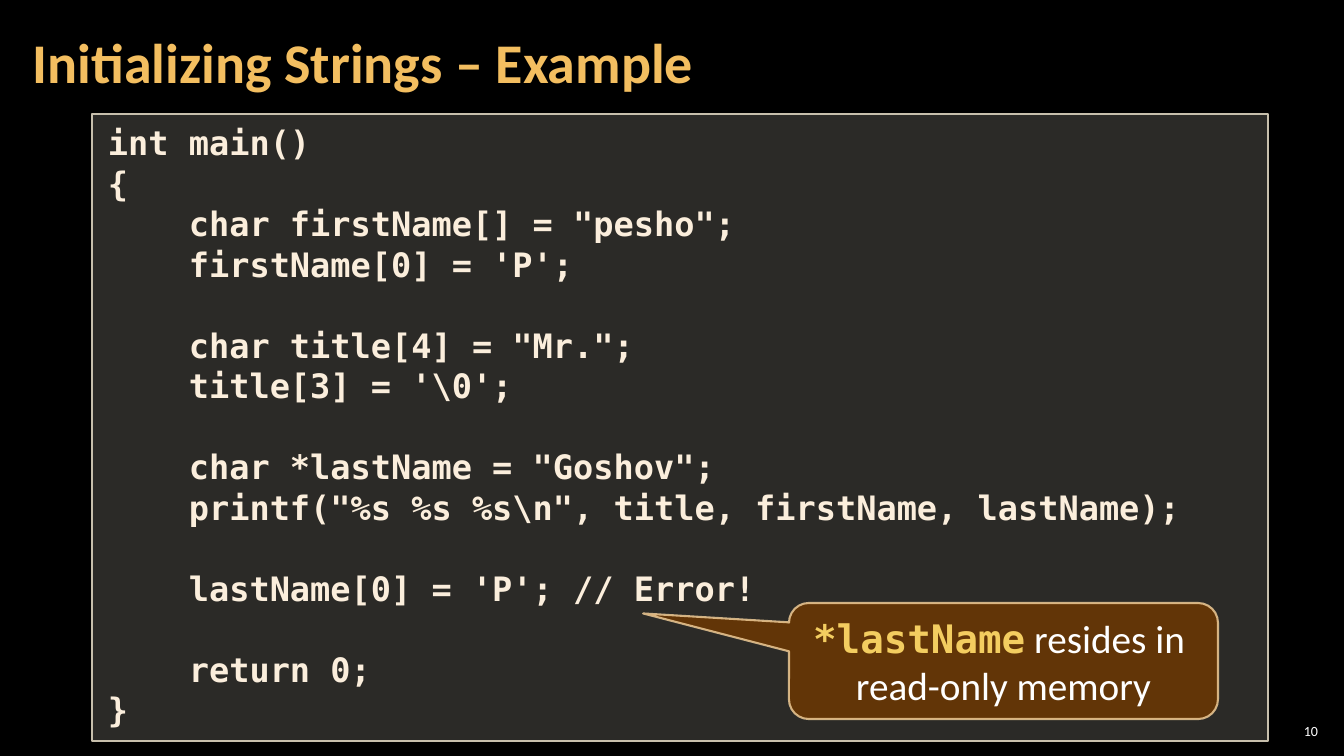
from dataclasses import dataclass

from lxml.etree import SubElement
from pptx import Presentation
from pptx.dml.color import RGBColor
from pptx.enum.shapes import MSO_SHAPE
from pptx.enum.text import MSO_ANCHOR, PP_ALIGN
from pptx.oxml.ns import qn
from pptx.util import Emu, Pt

EMU_PER_PX = 12192000 / 1344
COLORS = {
    "background": "000000",
    "title": "F3BE60",
    "white": "FFFFFF",
    "code": "FBEEDC",
    "code_fill": "D9D5C7",
    "code_line": "C7BFAC",
    "callout_fill": "663606",
    "callout_line": "F8D49E",
    "keyword": "F3CD60",
}
SANS = "Calibri"
MONO = "DejaVu Sans Mono"
CODE_PITCH = 28.9
CODE = r"""int main()
{
    char firstName[] = "pesho";
    firstName[0] = 'P';

    char title[4] = "Mr.";
    title[3] = '\0';

    char *lastName = "Goshov";
    printf("%s %s %s\n", title, firstName, lastName);

    lastName[0] = 'P'; // Error!

    return 0;
}"""


@dataclass(frozen=True)
class Style:
    font: str
    size: int
    color: str
    bold: bool = False


@dataclass(frozen=True)
class Panel:
    preset: MSO_SHAPE
    box: tuple[int, int, int, int]
    fill: str
    fill_alpha: int
    line: str
    line_width: float
    line_alpha: int
    insets: tuple[int, int, int, int]
    anchor: MSO_ANCHOR
    adjustments: tuple[float, ...] = ()


TITLE = Style(SANS, 40, "title", True)
NUMBER = Style(SANS, 10, "white")
CODE_TEXT = Style(MONO, 24, "code", True)
KEYWORD = Style(MONO, 28, "keyword", True)
REMARK = Style(SANS, 28, "white")

CODE_PANEL = Panel(MSO_SHAPE.RECTANGLE, (92, 114, 1176, 627), "code_fill", 20,
                   "code_line", 1, 100, (16, 8, 16, 8), MSO_ANCHOR.TOP)
CALLOUT = Panel(MSO_SHAPE.ROUNDED_RECTANGULAR_CALLOUT, (789, 603, 429, 116),
                "callout_fill", 95, "callout_line", 1.5, 80, (10, 5, 10, 5),
                MSO_ANCHOR.MIDDLE, (-0.84, -0.41, 0.17))


def px(n: int) -> Emu:
    return Emu(round(n * EMU_PER_PX))


def rgb(name: str) -> RGBColor:
    return RGBColor.from_string(COLORS[name])


def set_frame(tf, insets: tuple[int, int, int, int], anchor: MSO_ANCHOR) -> None:
    tf.word_wrap = True
    tf.vertical_anchor = anchor
    tf.margin_left, tf.margin_top, tf.margin_right, tf.margin_bottom = map(px, insets)


def add_run(p, text: str, style: Style) -> None:
    r = p.add_run()
    r.text = text
    r.font.name = style.font
    r.font.size = Pt(style.size)
    r.font.bold = style.bold
    r.font.color.rgb = rgb(style.color)


def set_alpha(fill, percent: int) -> None:
    color = fill._xPr.find(qn("a:solidFill"))[0]
    SubElement(color, qn("a:alpha")).set("val", str(percent * 1000))


def add_panel(s, panel: Panel):
    sp = s.shapes.add_shape(panel.preset, *map(px, panel.box))
    sp.shadow.inherit = False
    for i, value in enumerate(panel.adjustments):
        sp.adjustments[i] = value
    sp.line.width = Pt(panel.line_width)
    for fill, color, alpha in ((sp.fill, panel.fill, panel.fill_alpha),
                               (sp.line.fill, panel.line, panel.line_alpha)):
        fill.solid()
        fill.fore_color.rgb = rgb(color)
        set_alpha(fill, alpha)
    set_frame(sp.text_frame, panel.insets, panel.anchor)
    return sp


def add_title(s, text: str) -> None:
    sp = s.shapes.title
    sp.left, sp.top, sp.width, sp.height = map(px, (21, 4, 1055, 122))
    set_frame(sp.text_frame, (12, 4, 12, 4), MSO_ANCHOR.MIDDLE)
    p = sp.text_frame.paragraphs[0]
    p.alignment = PP_ALIGN.LEFT
    p.line_spacing = 0.9
    add_run(p, text, TITLE)


def add_number(s, text: str) -> None:
    sp = s.shapes.add_textbox(*map(px, (1275, 720, 47, 21)))
    set_frame(sp.text_frame, (4, 4, 4, 4), MSO_ANCHOR.MIDDLE)
    p = sp.text_frame.paragraphs[0]
    p.alignment = PP_ALIGN.RIGHT
    add_run(p, text, NUMBER)


def add_code(s, code: str) -> None:
    tf = add_panel(s, CODE_PANEL).text_frame
    p = tf.paragraphs[0]
    for i, block in enumerate(code.split("\n\n")):
        for j, line in enumerate(block.split("\n")):
            if i or j:
                p = tf.add_paragraph()
            if i and not j:
                p.space_before = Pt(CODE_PITCH)
            p.alignment = PP_ALIGN.LEFT
            p.line_spacing = Pt(CODE_PITCH)
            add_run(p, line, CODE_TEXT)


def add_callout(s) -> None:
    p = add_panel(s, CALLOUT).text_frame.paragraphs[0]
    p.alignment = PP_ALIGN.CENTER
    add_run(p, "*lastName", KEYWORD)
    add_run(p, " resides in ", REMARK)
    p.add_line_break()
    add_run(p, "read-only memory", REMARK)


def main() -> None:
    prs = Presentation()
    prs.slide_width, prs.slide_height = px(1344), px(756)
    s = prs.slides.add_slide(prs.slide_layouts[5])
    s.background.fill.solid()
    s.background.fill.fore_color.rgb = rgb("background")
    add_number(s, "10")
    add_title(s, "Initializing Strings – Example")
    add_code(s, CODE)
    add_callout(s)
    prs.save("out.pptx")


if __name__ == "__main__":
    main()
